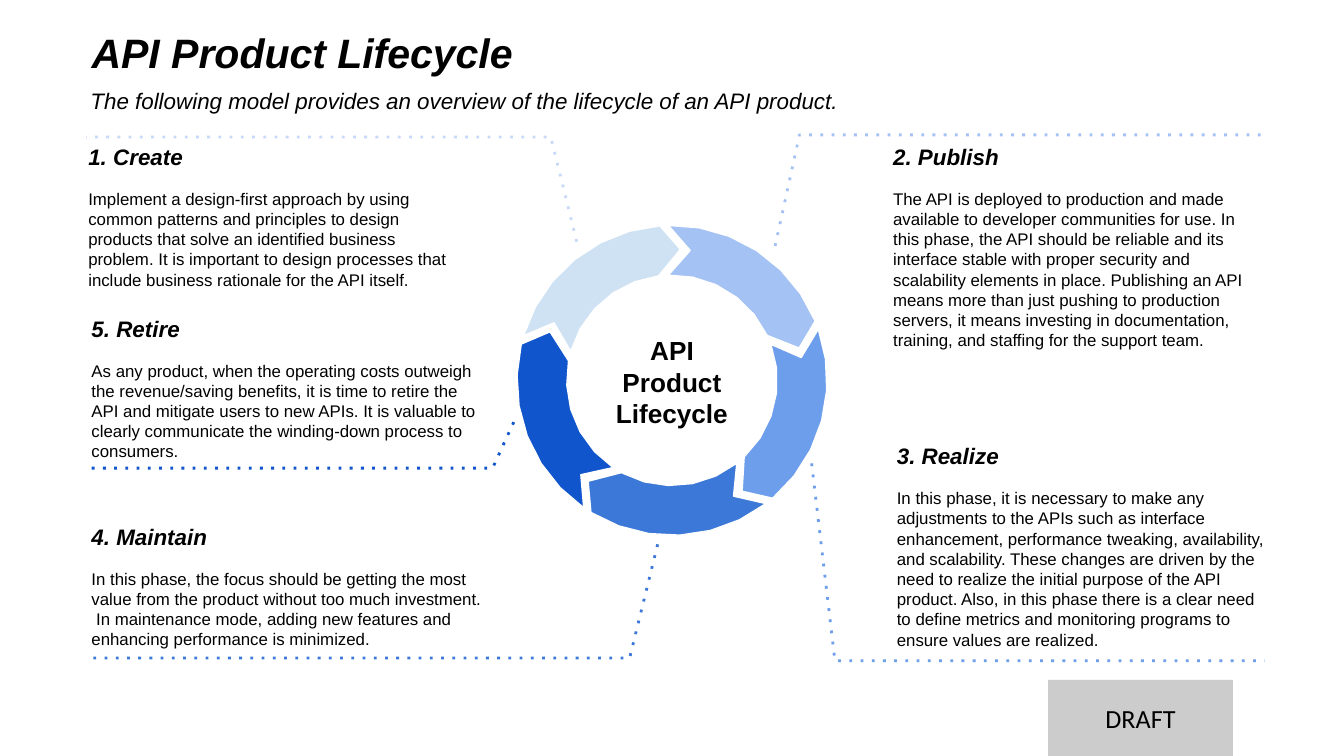
"""Build the API product lifecycle slide."""
import math

import pptx
import pptx.dml.color
import pptx.enum.shapes
import pptx.enum.text
import pptx.oxml
import pptx.oxml.ns
import pptx.util

Cm, Pt = pptx.util.Cm, pptx.util.Pt
ALIGN = pptx.enum.text.PP_ALIGN
MIDDLE = pptx.enum.text.MSO_ANCHOR.MIDDLE

COLORS = {
    "ink": "000000", "paper": "FFFFFF", "stamp": "CCCCCC",
    "create": "CFE2F3", "create line": "C9DAF8", "publish": "A4C2F4",
    "realize": "6D9EEB", "maintain": "3C78D8", "retire": "1155CC",
}
TITLE = "API Product Lifecycle"
INTRO = "The following model provides an overview of the lifecycle of an API product."

PHASES = [
    {"name": "Create", "fill": "create", "line": "create line",
     "box": (1.67, 2.7, 7.01, 3.28),
     "lead": [(10.9, 4.57), (10.41, 2.59), (1.63, 2.59)],
     "text": "Implement a design-first approach by using common patterns and principles "
             "to design products that solve an identified business problem. It is important "
             "to design processes that include business rationale for the API itself."},
    {"name": "Publish", "fill": "publish", "line": "publish",
     "box": (16.88, 2.7, 7.01, 1.73),
     "lead": [(14.65, 4.65), (15.11, 2.55), (23.9, 2.55)],
     "text": "The API is deployed to production and made available to developer communities "
             "for use. In this phase, the API should be reliable and its interface stable "
             "with proper security and scalability elements in place. Publishing an API means "
             "more than just pushing to production servers, it means investing in "
             "documentation, training, and staffing for the support team."},
    {"name": "Realize", "fill": "realize", "line": "realize",
     "box": (16.95, 8.36, 6.96, 3.18),
     "lead": [(15.34, 8.76), (15.78, 12.49), (23.9, 12.49)],
     "text": "In this phase, it is necessary to make any adjustments to the APIs such as "
             "interface enhancement, performance tweaking, availability, and scalability. "
             "These changes are driven by the need to realize the initial purpose of the API "
             "product. Also, in this phase there is a clear need to define metrics and "
             "monitoring programs to ensure values are realized."},
    {"name": "Maintain", "fill": "maintain", "line": "maintain",
     "box": (1.73, 9.88, 7.37, 2.46),
     "lead": [(12.43, 10.29), (11.9, 12.44), (1.65, 12.44)],
     "text": "In this phase, the focus should be getting the most value from the product "
             "without too much investment.  In maintenance mode, adding new features and "
             "enhancing performance is minimized."},
    {"name": "Retire", "fill": "retire", "line": "retire",
     "box": (1.73, 5.95, 7.37, 2.46),
     "lead": [(9.71, 7.98), (9.31, 8.85), (1.73, 8.85)],
     "text": "As any product, when the operating costs outweigh the revenue/saving benefits, "
             "it is time to retire the API and mitigate users to new APIs. It is valuable to "
             "clearly communicate the winding-down process to consumers."},
]
HUB = (12.7, 7.19)
OUTER, INNER, MID = 2.93, 1.99, 2.48


def paint(name):
    return pptx.dml.color.RGBColor.from_string(COLORS[name])


def style(para, size, bold=False, italic=False, face="Arial"):
    font = para.font
    font.name, font.size = face, Pt(size)
    font.bold, font.italic = bold, italic
    font.color.rgb = paint("ink")


def place(shape, box):
    shape.left, shape.top, shape.width, shape.height = map(Cm, box)


def bare(frame):
    frame.word_wrap = True
    frame.auto_size = pptx.enum.text.MSO_AUTO_SIZE.NONE
    frame.margin_left = frame.margin_right = 0
    frame.margin_top = frame.margin_bottom = 0


def write(slide, box, texts):
    frame = slide.shapes.add_textbox(*map(Cm, box)).text_frame
    bare(frame)
    frame.text = "\n".join(texts)
    return frame.paragraphs


def trace(slide, points, closed, line, width):
    spots = [(Cm(x), Cm(y)) for x, y in points]
    pen = slide.shapes.build_freeform(*spots[0])
    pen.add_line_segments(spots[1:], close=closed)
    shape = pen.convert_to_shape()
    shape.shadow.inherit = False
    shape.line.color.rgb = paint(line)
    shape.line.width = Pt(width)
    return shape


def polar(radius, angle):
    turn = math.radians(angle)
    return HUB[0] + radius * math.sin(turn), HUB[1] - radius * math.cos(turn)


def arc(radius, start, end, steps):
    return [polar(radius, start + (end - start) * i / steps) for i in range(steps + 1)]


def chevron(slide, start, fill):
    points = arc(OUTER, start - 1.3, start + 67.5, 6)
    points.append(polar(MID, start + 75.7))
    points += arc(INNER, start + 64.7, start - 2, 5)
    points.append(polar(MID, start + 8))
    shape = trace(slide, points, True, "paper", 0.75)
    shape.fill.solid()
    shape.fill.fore_color.rgb = paint(fill)


def leader(slide, points, color):
    shape = trace(slide, points, False, color, 1.5)
    shape.fill.background()
    qn = pptx.oxml.ns.qn
    line = shape.element.spPr.find(qn("a:ln"))
    dash = pptx.oxml.parse_xml(f'<a:prstDash {pptx.oxml.ns.nsdecls("a")} val="dot"/>')
    line.append(dash)


def main():
    deck = pptx.Presentation()
    deck.slide_width, deck.slide_height = Cm(25.4), Cm(14.29)
    slide = deck.slides.add_slide(deck.slide_layouts[5])

    title = slide.shapes.title
    place(title, (1.73, 0.37, 22.99, 1.3))
    frame = title.text_frame
    bare(frame)
    frame.text, frame.vertical_anchor = TITLE, MIDDLE
    head = frame.paragraphs[0]
    style(head, 22, True, True)
    head.alignment, head.line_spacing = ALIGN.LEFT, 0.95

    intro = write(slide, (1.71, 1.68, 22.2, 1.07), [INTRO])[0]
    style(intro, 12, italic=True)
    intro.line_spacing = 0.95

    step = 360 / len(PHASES)
    for i, phase in enumerate(PHASES):
        leader(slide, phase["lead"], phase["line"])
        name, body = write(slide, phase["box"], [f"{i + 1}. {phase['name']}", phase["text"]])
        style(name, 12, True, True)
        style(body, 9)
        body.space_before = Pt(10)
        chevron(slide, (i - 1) * step, phase["fill"])

    label = write(slide, (11.39, 6.33, 2.62, 1.78), [TITLE])[0]
    style(label, 14, True)
    label.alignment = ALIGN.CENTER

    kind = pptx.enum.shapes.MSO_SHAPE.RECTANGLE
    stamp = slide.shapes.add_shape(kind, *map(Cm, (19.81, 12.85, 3.49, 1.44)))
    stamp.shadow.inherit = False
    stamp.fill.solid()
    stamp.fill.fore_color.rgb = paint("stamp")
    stamp.line.fill.background()
    stamp.text_frame.text = "DRAFT"
    stamp.text_frame.vertical_anchor = MIDDLE
    draft = stamp.text_frame.paragraphs[0]
    style(draft, 14, face="Calibri")
    draft.alignment = ALIGN.CENTER

    deck.save("out.pptx")


if __name__ == "__main__":
    main()
